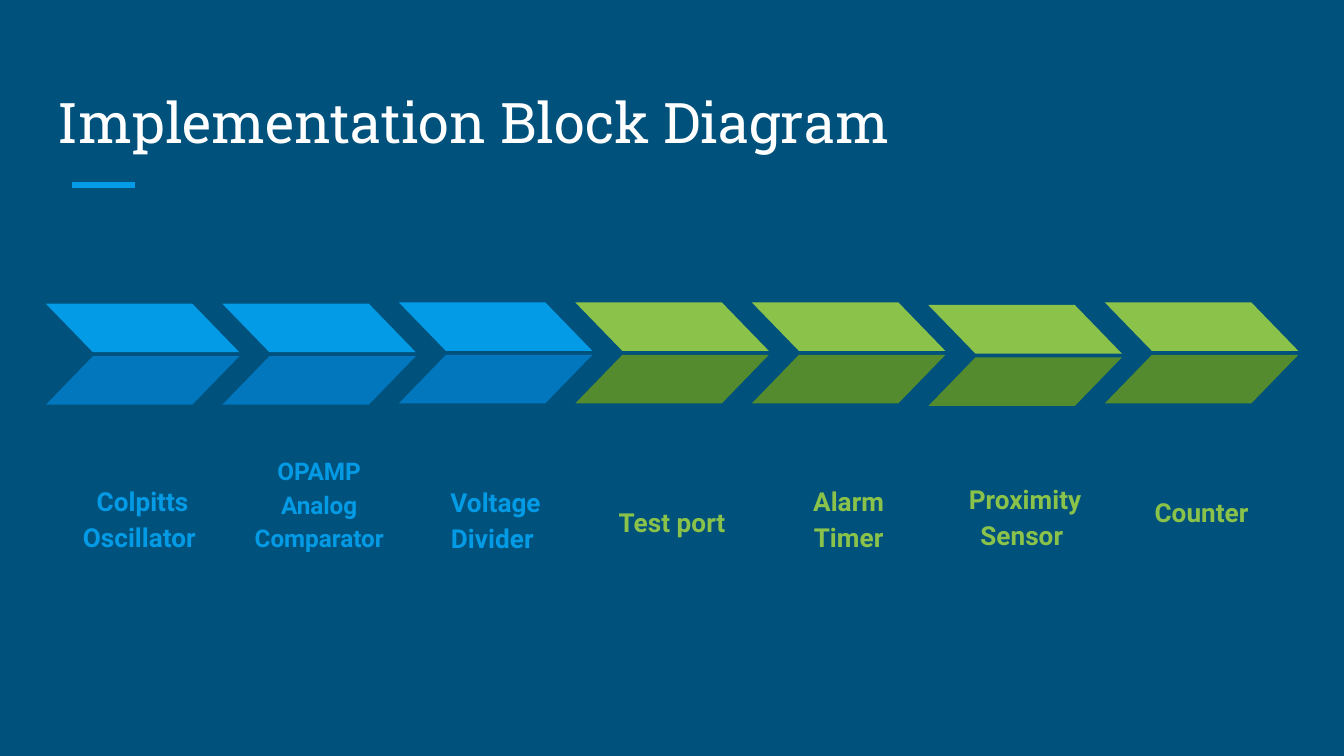
from dataclasses import dataclass

from lxml.etree import SubElement
from pptx import Presentation
from pptx.dml.color import RGBColor
from pptx.enum.shapes import MSO_CONNECTOR, MSO_SHAPE
from pptx.enum.text import MSO_ANCHOR, PP_ALIGN
from pptx.oxml.ns import qn
from pptx.shapes.group import GroupShape
from pptx.slide import Slide
from pptx.text.text import TextFrame
from pptx.util import Pt

COLORS = {
    "background": "00517C",
    "title": "FFFFFF",
    "blue": "039BE5",
    "dark blue": "0277BD",
    "green": "8BC34A",
    "dark green": "558B2F",
}

# Chevron grid, in points
FIRST_LEFT, STEP_PITCH = 24.6, 94.55
HALF_WIDTH, HALF_HEIGHT, HALF_OFFSET = 103.7, 26, 28.1
SLANT = 0.97
LABEL_INDENT, LABEL_WIDTH = 9.3, 85
INSET = 7.2


@dataclass
class Step:
    label: str
    color: str
    chevron_top: float
    label_top: float
    label_height: float
    size: float = 14


STEPS = [
    Step("Colpitts Oscillator ", "blue", 162.7, 259.2, 43.9),
    Step("OPAMP Analog Comparator ", "blue", 162.7, 261.4, 41.8, 13),
    Step("Voltage Divider ", "blue", 162, 273.6, 30.2),
    Step("Test port", "green", 162, 252.7, 42.5),
    Step("Alarm Timer", "green", 162, 277.2, 25.9),
    Step("Proximity Sensor ", "green", 163.4, 261.4, 41),
    Step("Counter", "green", 162, 264.2, 25.9),
]


def rgb(name: str) -> RGBColor:
    return RGBColor.from_string(COLORS[name])


def write_text(frame: TextFrame, text: str, font: str, size: float,
               color: str, align: PP_ALIGN, bold: bool = False) -> None:
    frame.text = text
    frame.word_wrap = True
    frame.vertical_anchor = MSO_ANCHOR.BOTTOM
    frame.margin_left = frame.margin_right = Pt(INSET)
    frame.margin_top = frame.margin_bottom = Pt(INSET)
    para = frame.paragraphs[0]
    para.alignment = align
    span = para.runs[0]
    span.font.name = font
    span.font.size = Pt(size)
    span.font.bold = bold
    span.font.color.rgb = rgb(color)


def add_half(group: GroupShape, left: float, top: float, color: str,
             flipped: bool) -> None:
    half = group.shapes.add_shape(MSO_SHAPE.PARALLELOGRAM, Pt(left), Pt(top),
                                  Pt(HALF_WIDTH), Pt(HALF_HEIGHT))
    half.adjustments[0] = SLANT
    half.shadow.inherit = False
    half.fill.solid()
    half.fill.fore_color.rgb = rgb(color)
    half.line.fill.background()
    if flipped:
        half.element.spPr.find(qn("a:xfrm")).set("flipH", "1")


def add_step(page: Slide, step: Step, left: float) -> None:
    group = page.shapes.add_group_shape()
    add_half(group, left, step.chevron_top, step.color, True)
    add_half(group, left, step.chevron_top + HALF_OFFSET,
             f"dark {step.color}", False)
    box = group.shapes.add_textbox(Pt(left + LABEL_INDENT), Pt(step.label_top),
                                   Pt(LABEL_WIDTH), Pt(step.label_height))
    write_text(box.text_frame, step.label, "Roboto", step.size, step.color,
               PP_ALIGN.CENTER, bold=True)
    box.text_frame.paragraphs[0].line_spacing = 1.15


def add_title(page: Slide, text: str) -> None:
    title = page.shapes.title
    title.left, title.top = Pt(23.8), Pt(36)
    title.width, title.height = Pt(605.5), Pt(54)
    write_text(title.text_frame, text, "Roboto Slab", 30, "title",
               PP_ALIGN.LEFT)


def add_accent_line(page: Slide) -> None:
    accent = page.shapes.add_connector(MSO_CONNECTOR.STRAIGHT, Pt(38.7),
                                       Pt(99.2), Pt(72.2), Pt(99.2))
    accent.line.color.rgb = rgb("blue")
    accent.line.width = Pt(3)
    SubElement(accent.element.spPr, qn("a:effectLst"))


def main() -> None:
    deck = Presentation()
    deck.slide_width, deck.slide_height = Pt(720), Pt(405)
    page = deck.slides.add_slide(deck.slide_layouts[5])
    page.background.fill.solid()
    page.background.fill.fore_color.rgb = rgb("background")

    # Heading
    add_title(page, "Implementation Block Diagram")
    add_accent_line(page)

    # Chain of blocks
    for index, step in enumerate(STEPS):
        add_step(page, step, FIRST_LEFT + index * STEP_PITCH)

    deck.save("out.pptx")


if __name__ == "__main__":
    main()
